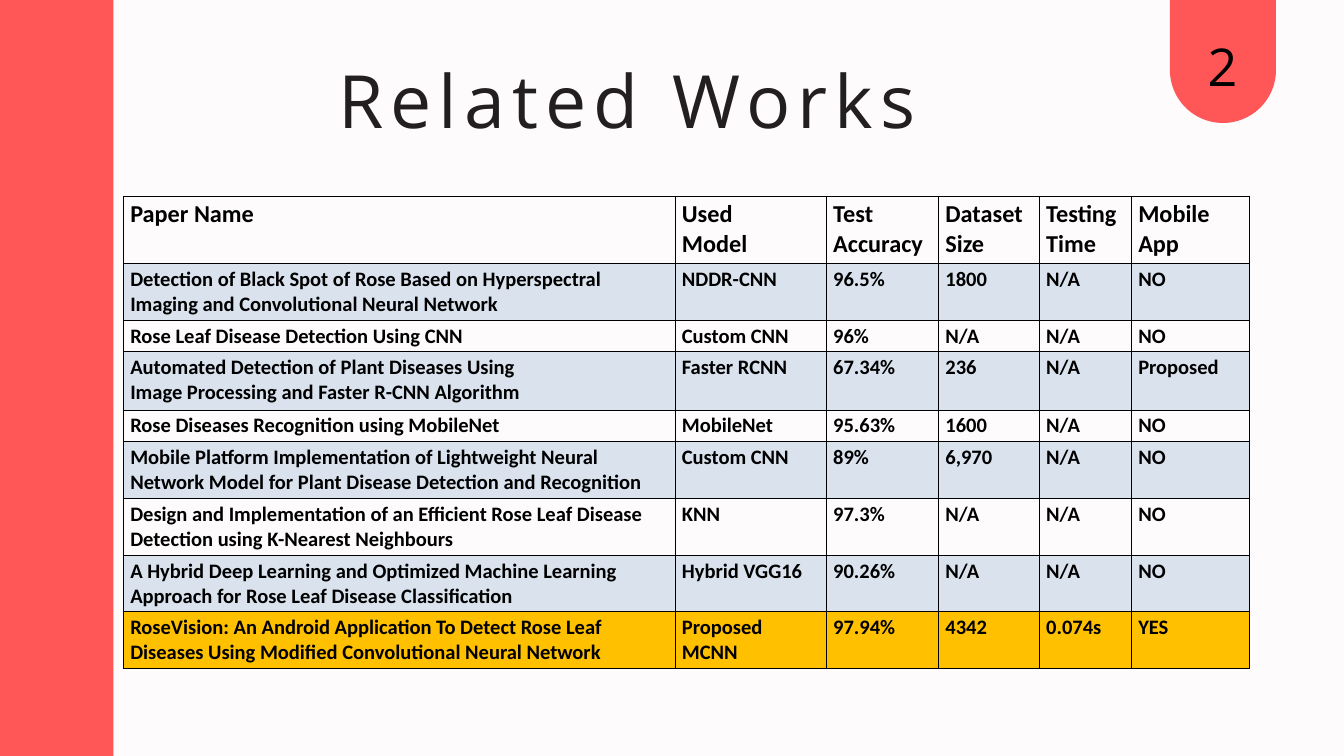
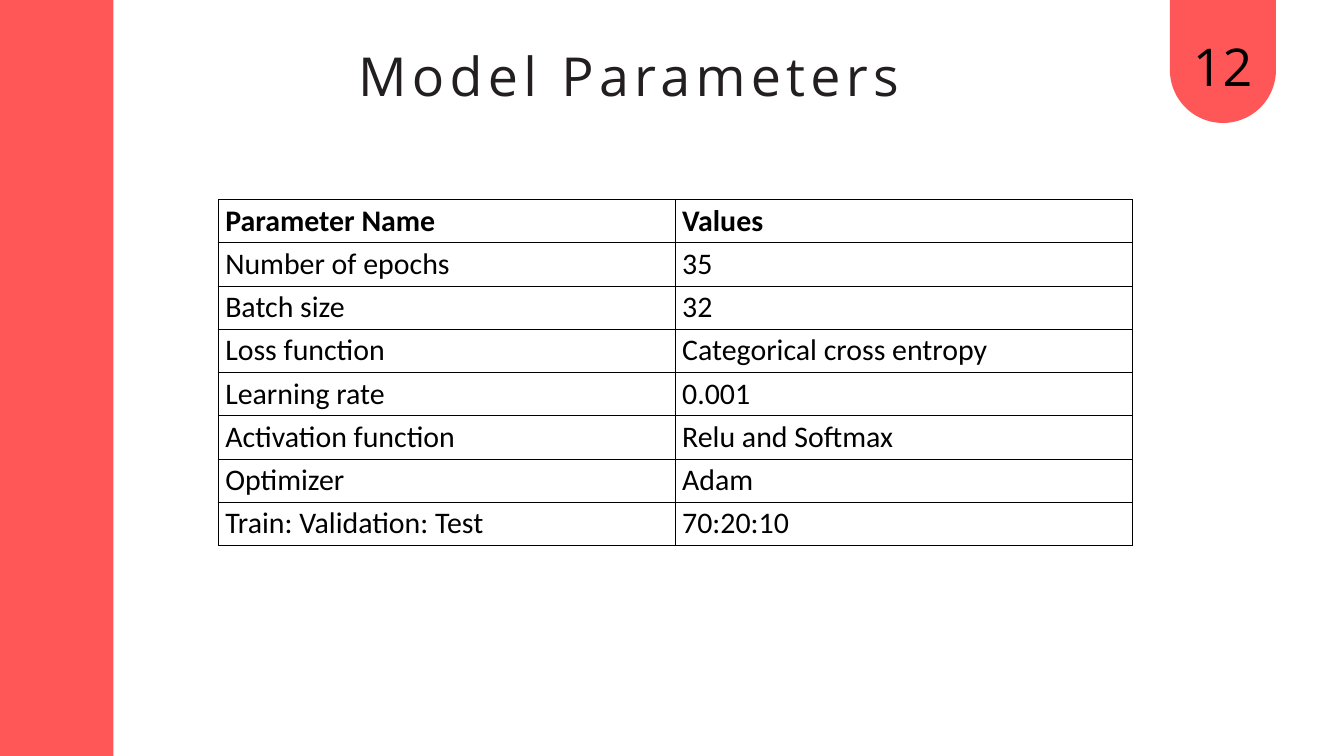
from lxml.etree import SubElement as Sub
from pptx import Presentation
from pptx.dml.color import RGBColor
from pptx.enum.shapes import MSO_SHAPE as Shape
from pptx.enum.text import MSO_ANCHOR as Anchor, MSO_AUTO_SIZE as Fit, PP_ALIGN as Align
from pptx.oxml.ns import qn
from pptx.util import Cm, Pt

CORAL = RGBColor(0xFF, 0x57, 0x57)
INK = RGBColor(0x23, 0x1F, 0x20)
BLACK = RGBColor(0, 0, 0)
WHITE = RGBColor(0xFF, 0xFF, 0xFF)
SNOW = RGBColor(0xFD, 0xFB, 0xFB)
BLUE = RGBColor(0x4F, 0x81, 0xBD)
GOLD = RGBColor(0xFF, 0xC0, 0x00)
HEAD, BODY = "Open Sans", "Calibri"
WIDE, HIGH = 50.8, 28.58

WORKS = [
    ("Paper Name", "Used\nModel", "Test\nAccuracy", "Dataset\nSize", "Testing\nTime", "Mobile\nApp"),
    ("Detection of Black Spot of Rose Based on Hyperspectral Imaging and Convolutional Neural Network",
     "NDDR-CNN", "96.5%", "1800", "N/A", "NO"),
    ("Rose Leaf Disease Detection Using CNN", "Custom CNN", "96%", "N/A", "N/A", "NO"),
    ("Automated Detection of Plant Diseases Using\vImage Processing and Faster R-CNN Algorithm",
     "Faster RCNN", "67.34%", "236", "N/A", "Proposed"),
    ("Rose Diseases Recognition using MobileNet", "MobileNet", "95.63%", "1600", "N/A", "NO"),
    ("Mobile Platform Implementation of Lightweight Neural Network Model for Plant Disease "
     "Detection and Recognition", "Custom CNN", "89%", "6,970", "N/A", "NO"),
    ("Design and Implementation of an Efficient Rose Leaf Disease Detection using K-Nearest Neighbours",
     "KNN", "97.3%", "N/A", "N/A", "NO"),
    ("A Hybrid Deep Learning and Optimized Machine Learning Approach for Rose Leaf Disease Classification",
     "Hybrid VGG16", "90.26%", "N/A", "N/A", "NO"),
    ("RoseVision: An Android Application To Detect Rose Leaf Diseases Using Modified "
     "Convolutional Neural Network", "Proposed MCNN", "97.94%", "4342", "0.074s", "YES"),
]
PARAMS = [
    ("Parameter Name", "Values"),
    ("Number of epochs", "35"),
    ("Batch size", "32"),
    ("Loss function", "Categorical cross entropy"),
    ("Learning rate", "0.001"),
    ("Activation function", "Relu and Softmax"),
    ("Optimizer", "Adam"),
    ("Train: Validation: Test", "70:20:10"),
]


def write(frame, text, size, font=BODY, color=BLACK, bold=False, align=Align.LEFT, lead=None, track=0):
    """Fill a frame; lead is the line height and track the letter spacing, in points."""
    frame.text = text
    for para in frame.paragraphs:
        para.alignment = align
        if lead:
            para.line_spacing = Pt(lead)
        for run in para.runs:
            run.font.size, run.font.name = Pt(size), font
            run.font.bold, run.font.color.rgb = bold, color
            if track:
                run.font._element.set("spc", str(round(track * 100)))


def clear(frame):
    """Drop the insets and pin the text to the top."""
    frame.margin_left = frame.margin_top = frame.margin_right = frame.margin_bottom = 0
    frame.word_wrap, frame.auto_size = True, Fit.NONE
    frame.vertical_anchor = Anchor.TOP


def block(slide, kind, *box):
    shape = slide.shapes.add_shape(kind, *map(Cm, box))
    shape.shadow.inherit = False
    shape.fill.solid()
    shape.fill.fore_color.rgb = CORAL
    shape.line.fill.background()
    return shape


def badge(slide, number):
    tab = block(slide, Shape.ROUND_2_SAME_RECTANGLE, 44.22, 0, 4.01, 4.65)
    tab.adjustments[0], tab.adjustments[1] = 0, 0.5
    label = slide.shapes.add_textbox(Cm(44.04), Cm(0.91), Cm(4.34), Cm(2.59))
    clear(label.text_frame)
    write(label.text_frame, number, 55.8, font=HEAD, align=Align.CENTER, lead=78)


def title(slide, text, box, **style):
    shape = slide.shapes.title
    shape.left, shape.top, shape.width, shape.height = map(Cm, box)
    clear(shape.text_frame)
    write(shape.text_frame, text, font=HEAD, color=INK, **style)


def page(deck, back, number):
    """Add a slide with the side band and the number badge."""
    slide = deck.slides.add_slide(deck.slide_layouts.get_by_name("Title Only"))
    slide.background.fill.solid()
    slide.background.fill.fore_color.rgb = back
    block(slide, Shape.RECTANGLE, 0, 0, 4.29, HIGH)
    badge(slide, number)
    return slide


def edge(cell):
    props = cell._tc.get_or_add_tcPr()
    for side in ("lnL", "lnR", "lnT", "lnB"):
        line = Sub(props, qn(f"a:{side}"), w=str(Pt(1)))
        Sub(Sub(line, qn("a:solidFill")), qn("a:srgbClr"), val=str(BLACK))


def tint(cell, color, alpha=100):
    if color is None:
        cell.fill.background()
        return
    cell.fill.solid()
    cell.fill.fore_color.rgb = color
    if alpha < 100:
        tone = cell._tc.tcPr.find(f"{qn('a:solidFill')}/{qn('a:srgbClr')}")
        Sub(tone, qn("a:alpha"), val=str(alpha * 1000))


def grid(slide, rows, left, top, wide, high, style, fills):
    """Draw a ruled table; style and fills give the format of row i."""
    frame = slide.shapes.add_table(len(rows), len(wide), Cm(left), Cm(top), Cm(sum(wide)), Cm(sum(high)))
    table = frame.table
    table.first_row = table.horz_banding = False
    for col, width in zip(table.columns, wide):
        col.width = Cm(width)
    for i, texts in enumerate(rows):
        table.rows[i].height = Cm(high[i])
        for cell, text in zip(table.rows[i].cells, texts):
            write(cell.text_frame, text, **style(i))
            edge(cell)
            tint(cell, *fills(i))


def work_fill(i):
    if i == len(WORKS) - 1:
        return (GOLD,)
    return (BLUE, 20) if i % 2 else (None,)


def works(deck):
    slide = page(deck, SNOW, "2")
    title(slide, "Related Works", (12.78, 1.6, 23.85, 3.63), size=78.7, lead=108.6, track=7.7)
    high = [2.54, 2.12, 1.2, 2.2, 1.2] + [2.12] * 4
    grid(slide, WORKS, 4.67, 7.42, [20.85, 5.72, 4.24, 3.81, 3.48, 4.45], high,
         style=lambda i: dict(size=22 if i else 26, bold=True), fills=work_fill)


def params(deck):
    slide = page(deck, WHITE, "12")
    title(slide, "Model Parameters", (13.54, 1.24, 24.61, 2.67), size=57.6, lead=79.6, track=5.7)
    grid(slide, PARAMS, 8.26, 7.54, [17.27] * 2, [1.61] * len(PARAMS),
         style=lambda i: dict(size=32, bold=i == 0), fills=lambda i: (None,))


def main():
    deck = Presentation()
    deck.slide_width, deck.slide_height = Cm(WIDE), Cm(HIGH)
    works(deck)
    params(deck)
    deck.save("out.pptx")


if __name__ == "__main__":
    main()
